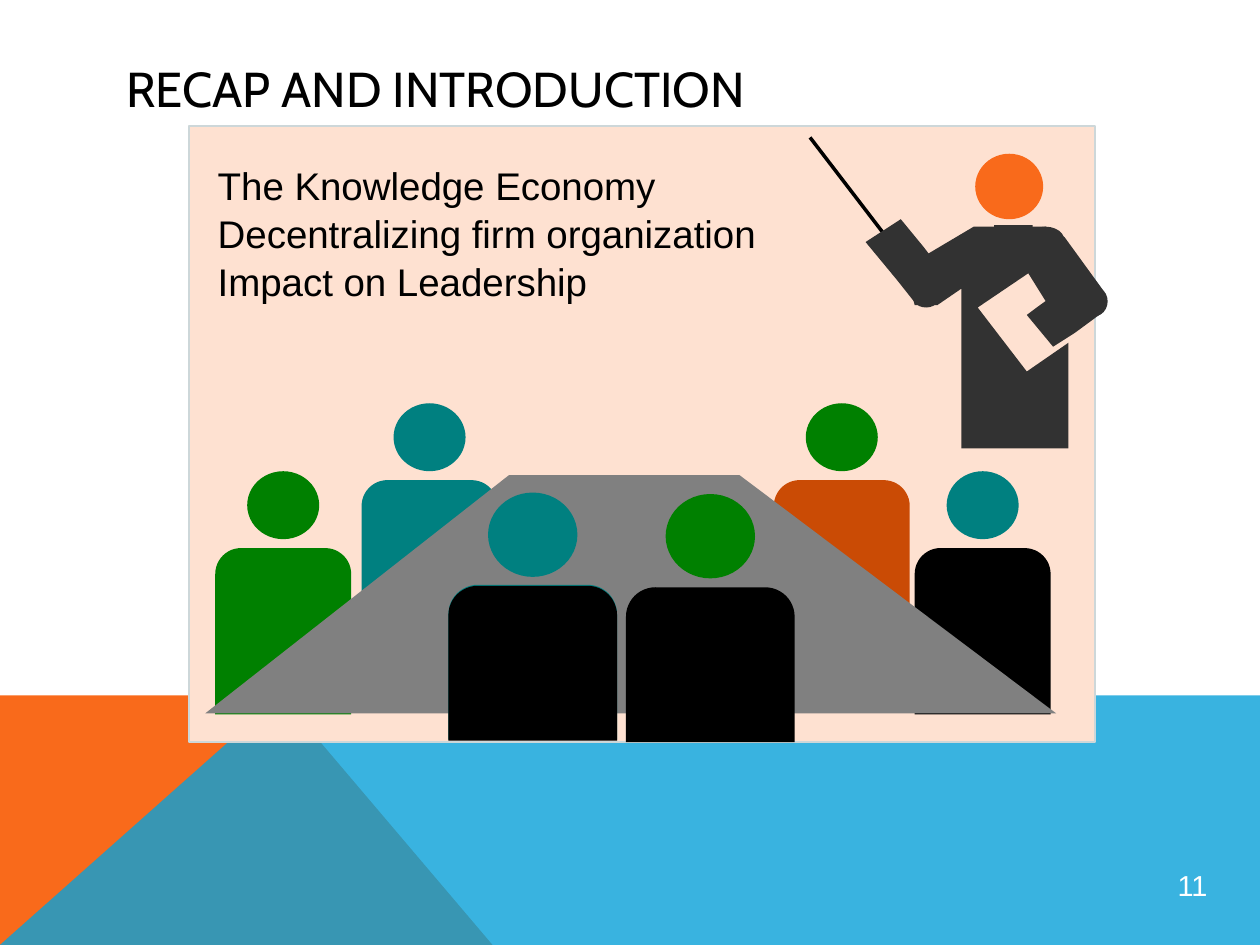
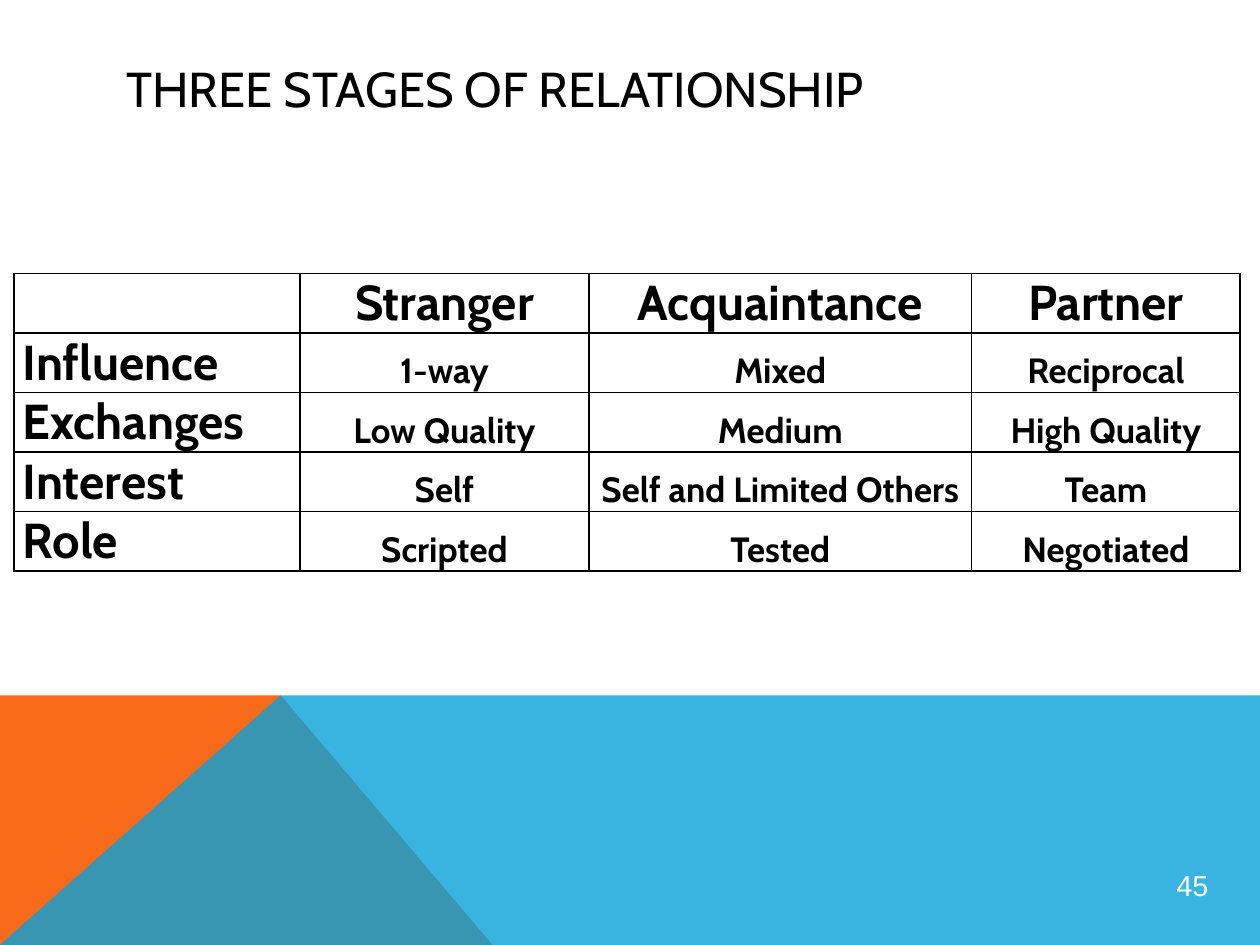
"""Build two leadership slides: a meeting scene and a table of stages."""
from lxml import etree
from pptx import Presentation
from pptx import util as u
from pptx.dml.color import RGBColor
from pptx.enum import shapes, text
from pptx.oxml import ns

BLACK = RGBColor(0x00, 0x00, 0x00)
WHITE = RGBColor(0xFF, 0xFF, 0xFF)
ORANGE = RGBColor(0xF9, 0x6A, 0x1B)
RUST = RGBColor(0xCA, 0x4B, 0x05)
BLUE = RGBColor(0x08, 0xA1, 0xD9)
TEAL = RGBColor(0x00, 0x80, 0x80)
GREEN = RGBColor(0x00, 0x80, 0x00)
GREY = RGBColor(0x80, 0x80, 0x80)
CHARCOAL = RGBColor(0x32, 0x32, 0x32)
PEACH = RGBColor(0xFE, 0xE1, 0xD1)
PALE_GREY = RGBColor(0xCD, 0xD7, 0xD9)

HEAD_FONT, BODY_FONT = "Cabin", "Arial"
PAGE_WIDTH, PAGE_HEIGHT = 25.4, 19.05
BAND_TOP, BAND_PEAK = 14.02, 5.66

RECT = shapes.MSO_SHAPE.RECTANGLE
OVAL = shapes.MSO_SHAPE.OVAL
ROUND_TOP = shapes.MSO_SHAPE.ROUND_2_SAME_RECTANGLE

PRESENTER = [
    (20.8, 4.57), (21.08, 4.57), (21.46, 4.78), (22.23, 5.84), (22.2, 6.32),
    (21.67, 6.71), (21.23, 6.99), (20.7, 6.35), (20.9, 6.2), (21.08, 6.07),
    (20.73, 5.51), (19.71, 6.2), (20.7, 7.49), (21.54, 6.91), (21.54, 9.04),
    (19.38, 9.04), (19.38, 5.82), (18.9, 6.15), (18.44, 6.15), (18.42, 6.07),
    (18.08, 5.64), (17.45, 4.88), (18.16, 4.42), (18.62, 4.98), (18.72, 5.11),
    (19.63, 4.57),
]


class Pages:
    """Holds the deck, its style and the current page; lengths are in cm."""

    def __init__(self):
        """Start an empty deck."""
        self.deck = Presentation()
        self.deck.slide_width = u.Cm(PAGE_WIDTH)
        self.deck.slide_height = u.Cm(PAGE_HEIGHT)
        self.page = None

    def start(self, title, number):
        """Add a page with title, coloured bands and page number."""
        self.page = self.deck.slides.add_slide(self.deck.slide_layouts[5])
        self.outline([(0, PAGE_HEIGHT), (0, BAND_TOP), (BAND_PEAK, BAND_TOP),
                      (9.93, PAGE_HEIGHT)], ORANGE)
        self.outline([(0, PAGE_HEIGHT), (BAND_PEAK, BAND_TOP),
                      (PAGE_WIDTH, BAND_TOP), (PAGE_WIDTH, PAGE_HEIGHT)],
                     BLUE, opacity=80)
        self.number(number)
        box = self.page.shapes.title
        box.left, box.top, box.width, box.height = (
            u.Cm(2.29), u.Cm(1.02), u.Cm(20.9), u.Cm(1.52))
        box.text_frame.vertical_anchor = text.MSO_ANCHOR.MIDDLE
        self.words(box.text_frame.paragraphs[0], title, HEAD_FONT, 28)

    def words(self, para, content, font, size, color=BLACK, bold=False,
              align=text.PP_ALIGN.LEFT):
        """Fill and format one paragraph."""
        para.text = content
        para.alignment = align
        para.font.name, para.font.size = font, u.Pt(size)
        para.font.bold, para.font.color.rgb = bold, color

    def number(self, number):
        """Put the page number in the lower right corner."""
        box = self.shape(OVAL, 23.34, 17.15, 1.4, 1.4)
        frame = box.text_frame
        frame.margin_left = frame.margin_right = u.Cm(0.03)
        frame.margin_top = frame.margin_bottom = u.Cm(0.03)
        frame.vertical_anchor = text.MSO_ANCHOR.MIDDLE
        self.words(frame.paragraphs[0], str(number), BODY_FONT, 16.5, WHITE,
                   align=text.PP_ALIGN.CENTER)

    def paint(self, box, fill=None, line=None):
        """Give a shape a flat fill and line, without shadow."""
        box.shadow.inherit = False
        if fill is None:
            box.fill.background()
        else:
            box.fill.solid()
            box.fill.fore_color.rgb = fill
        if line is None:
            box.line.fill.background()
        else:
            box.line.color.rgb, box.line.width = line, u.Pt(1)
        return box

    def shape(self, kind, left, top, width, height, fill=None, line=None):
        """Draw a preset shape."""
        box = self.page.shapes.add_shape(
            kind, u.Cm(left), u.Cm(top), u.Cm(width), u.Cm(height))
        return self.paint(box, fill, line)

    def outline(self, points, fill, opacity=100):
        """Draw a closed polygon, see-through when opacity is below 100."""
        corners = [(u.Cm(x), u.Cm(y)) for x, y in points]
        builder = self.page.shapes.build_freeform(*corners[0])
        builder.add_line_segments(corners[1:], close=True)
        box = self.paint(builder.convert_to_shape(), fill)
        if opacity < 100:
            solid = box._element.spPr.find(ns.qn("a:solidFill"))
            color = solid.find(ns.qn("a:srgbClr"))
            etree.SubElement(color, ns.qn("a:alpha"), val=str(opacity * 1000))

    def line(self, start, end, width):
        """Draw a straight black line."""
        stick = self.page.shapes.add_connector(
            shapes.MSO_CONNECTOR.STRAIGHT, *map(u.Cm, start + end))
        stick.line.color.rgb, stick.line.width = BLACK, u.Pt(width)
        etree.SubElement(stick._element.spPr, ns.qn("a:effectLst"))

    def body(self, left, top, color, width=2.74, height=3.35):
        """Draw the round-shouldered body of a seated person."""
        box = self.shape(ROUND_TOP, left, top, width, height, color)
        box.adjustments[0] = 0.19

    def person(self, left, top, color, head, width=2.74, height=3.35):
        """Draw a seated person, with the head centred over the body."""
        self.body(left, top, color, width, height)
        across, high = 0.53 * width, 0.5 * width
        self.shape(OVAL, left + (width - across) / 2, top - 0.18 - high,
                   across, high, head)

    def presenter(self):
        """Draw the standing speaker with a pointer."""
        self.line((18.06, 5.03), (16.33, 2.77), 2)
        self.shape(OVAL, 19.66, 3.1, 1.37, 1.32, ORANGE)
        self.outline(PRESENTER, CHARCOAL)
        self.shape(OVAL, 18.39, 5.74, 0.56, 0.46, CHARCOAL)
        self.shape(OVAL, 21.77, 5.77, 0.56, 0.61, CHARCOAL)
        self.shape(OVAL, 20.7, 4.57, 0.76, 0.56, CHARCOAL)
        self.shape(RECT, 20.04, 4.54, 0.78, 0.2, CHARCOAL)

    def lines(self, left, top, width, height, rows):
        """Fill a text box, one paragraph a row."""
        box = self.page.shapes.add_textbox(
            u.Cm(left), u.Cm(top), u.Cm(width), u.Cm(height))
        frame = box.text_frame
        frame.word_wrap = True
        for index, content in enumerate(rows):
            para = frame.add_paragraph() if index else frame.paragraphs[0]
            self.words(para, content, BODY_FONT, 22)
            para.space_before = u.Pt(1)

    def table(self, left, top, widths, row_height, rows):
        """Draw a ruled table; the first row and column are headings."""
        table = self.page.shapes.add_table(
            len(rows), len(widths), u.Cm(left), u.Cm(top), u.Cm(sum(widths)),
            u.Cm(row_height * len(rows))).table
        table.first_row = table.horz_banding = False
        for column, width in zip(table.columns, widths):
            column.width = u.Cm(width)
        for r, row in enumerate(rows):
            table.rows[r].height = u.Cm(row_height)
            for c, content in enumerate(row):
                cell = table.cell(r, c)
                cell.margin_left = cell.margin_right = u.Cm(0.18)
                cell.margin_top = cell.margin_bottom = 0
                cell.vertical_anchor = text.MSO_ANCHOR.BOTTOM
                cell.fill.background()
                self.rule(cell)
                align = text.PP_ALIGN.CENTER if c else text.PP_ALIGN.LEFT
                self.words(cell.text_frame.paragraphs[0], content, HEAD_FONT,
                           20 if r and c else 28, bold=True, align=align)

    def rule(self, cell):
        """Put a thin black border on all sides of a cell."""
        props = cell._tc.get_or_add_tcPr()
        for index, side in enumerate(("lnL", "lnR", "lnT", "lnB")):
            edge = etree.Element(ns.qn("a:" + side), w=str(int(u.Pt(1))))
            fill = etree.SubElement(edge, ns.qn("a:solidFill"))
            etree.SubElement(fill, ns.qn("a:srgbClr"), val=str(BLACK))
            props.insert(index, edge)


def meeting_page(pages):
    """Build the recap page with the meeting scene."""
    pages.start("RECAP AND INTRODUCTION", 11)
    pages.shape(RECT, 3.81, 2.54, 18.26, 12.42, PEACH, PALE_GREY)
    pages.presenter()
    pages.person(18.44, 11.05, BLACK, TEAL)
    pages.person(15.6, 9.68, RUST, GREEN)
    pages.person(7.29, 9.68, TEAL, TEAL)
    pages.person(4.34, 11.05, GREEN, GREEN)
    pages.outline([(4.14, 14.38), (10.26, 9.58), (14.91, 9.58),
                   (21.29, 14.38)], GREY)
    front = {"width": 3.4, "height": 3.12}
    pages.person(12.62, 11.84, BLACK, GREEN, **front)
    pages.body(9.04, 11.79, TEAL, **front)
    pages.person(9.04, 11.81, BLACK, TEAL, **front)
    pages.lines(4.14, 3.14, 12.83, 5.05, [
        "The Knowledge Economy",
        "Decentralizing firm organization",
        "Impact on Leadership",
    ])


def stages_page(pages):
    """Build the page with the table of relationship stages."""
    pages.start("THREE STAGES OF RELATIONSHIP", 45)
    pages.table(0.28, 5.51, [5.77, 5.82, 7.72, 5.41], 1.19, [
        ["", "Stranger", "Acquaintance", "Partner"],
        ["Influence", "1-way", "Mixed", "Reciprocal"],
        ["Exchanges", "Low Quality", "Medium", "High Quality"],
        ["Interest", "Self", "Self and Limited Others", "Team"],
        ["Role", "Scripted", "Tested", "Negotiated"],
    ])


pages = Pages()
meeting_page(pages)
stages_page(pages)
pages.deck.save("out.pptx")
